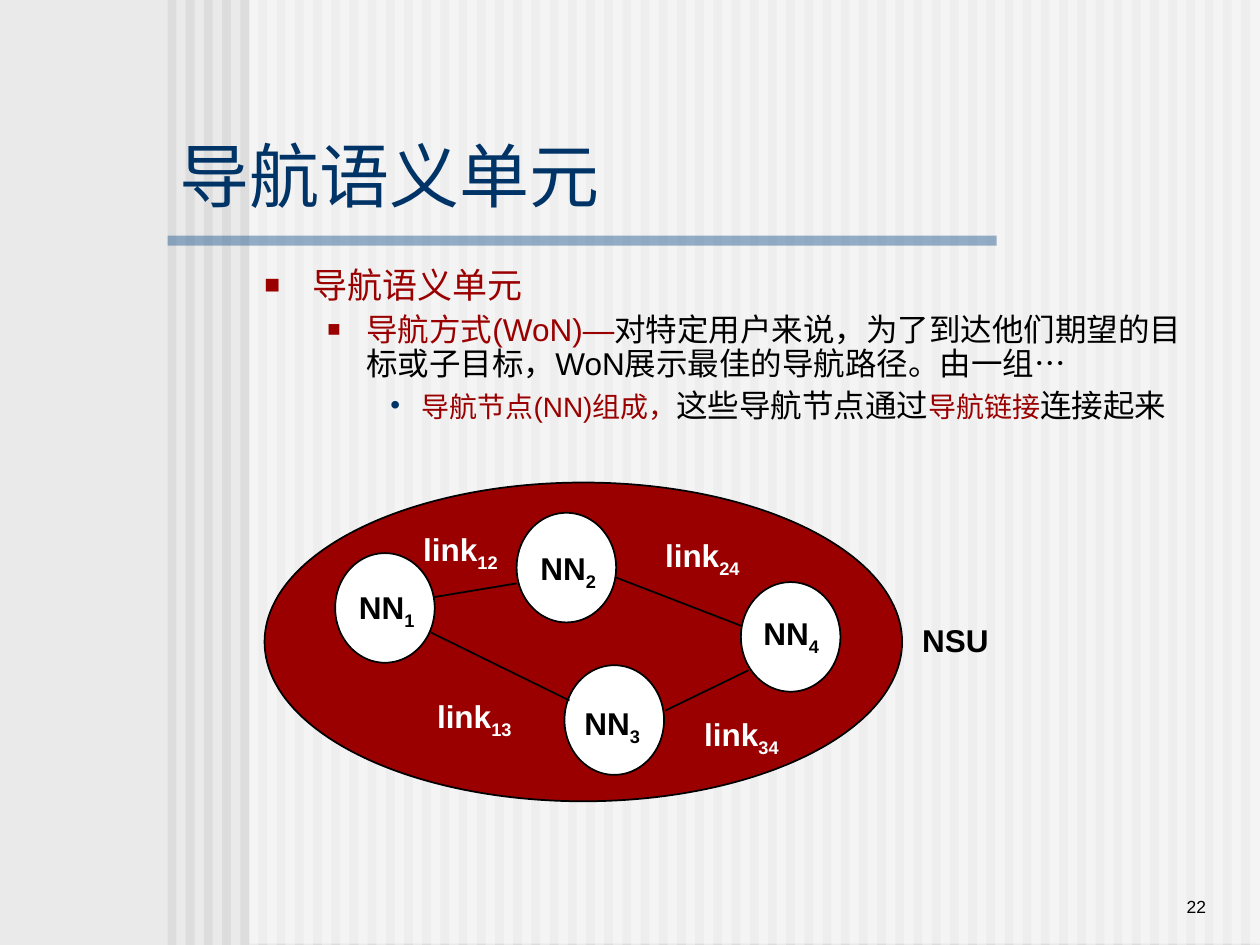
from pptx import Presentation
from pptx.dml.color import RGBColor
from pptx.enum import shapes, text
from pptx.oxml import ns, xmlchemy
from pptx.util import Inches, Pt

BACKDROP = RGBColor(0xEA, 0xEA, 0xEA)
STRIPE = RGBColor(0xDD, 0xDD, 0xDD)
WHITE = RGBColor(0xFF, 0xFF, 0xFF)
BLACK = RGBColor(0, 0, 0)
RULE = RGBColor(0x33, 0x66, 0x99)
NAVY = RGBColor(0, 0x33, 0x66)
RED = RGBColor(0x9A, 0, 0)
FONT = "Arial"

STRIPE_COUNT = 60
NODE_SIZE = (0.79, 0.87)
NODES = [
    ("1", (0.56, 0.56), (0.65, 0.79)),
    ("2", (2.0, 0.24), (2.09, 0.48)),
    ("3", (2.38, 1.45), (2.44, 1.71)),
    ("4", (3.78, 0.79), (3.86, 1.0)),
]
LINKS = [
    ("12", (1.34, 0.91), (2.0, 0.8), (1.16, 0.33)),
    ("13", (1.32, 1.19), (2.42, 1.73), (1.27, 1.66)),
    ("24", (2.78, 0.75), (3.79, 1.14), (3.08, 0.38)),
    ("34", (3.18, 1.81), (3.84, 1.49), (3.39, 1.8)),
]
OUTLINE = [
    (0.38, -0.38, 5, ("■", RED, 75), [("导航语义单元", 20, RED)]),
    (0.81, -0.31, 4.5, ("■", RED, 70), [
        ("导航方式(WoN)—", 18, RED),
        ("对特定用户来说，为了到达他们期望的目标或子目标，WoN展示最佳的导航路径。由一组…", 18, BLACK),
    ]),
    (1.25, -0.25, 4.5, ("•", NAVY, 100), [
        ("导航节点(NN)组成，", 16, RED),
        ("这些导航节点通过", 18, BLACK),
        ("导航链接", 16, RED),
        ("连接起来", 18, BLACK),
    ]),
]


def add_element(parent, tag, **attributes):
    """Append a DrawingML element to parent and return it."""
    element = xmlchemy.OxmlElement(tag)
    for key, value in attributes.items():
        element.set(key, str(value))
    parent.append(element)
    return element


def add_filled(slide, kind, box, color, outlined=False, alpha=None):
    """Draw a flat shape with an optional outline and opacity in percent."""
    shape = slide.shapes.add_shape(kind, *map(Inches, box))
    shape.shadow.inherit = False
    shape.fill.solid()
    shape.fill.fore_color.rgb = color
    if outlined:
        shape.line.color.rgb = BLACK
        shape.line.width = Pt(1)
    else:
        shape.line.fill.background()
    if alpha is not None:
        tint = shape.fill._xPr.find(".//" + ns.qn("a:srgbClr"))
        add_element(tint, "a:alpha", val=alpha * 1000)


def add_run(paragraph, words, size, color, bold=False, baseline=0):
    """Add one formatted run to a paragraph."""
    run = paragraph.add_run()
    run.text = words
    run.font.name = FONT
    run.font.size = Pt(size)
    run.font.bold = bold
    run.font.color.rgb = color
    if baseline:
        run._r.get_or_add_rPr().set("baseline", str(baseline * 1000))


def add_frame(slide, box, anchor=text.MSO_ANCHOR.TOP, wrap=True):
    """Add a text box and return its text frame."""
    frame = slide.shapes.add_textbox(*map(Inches, box)).text_frame
    frame.word_wrap = wrap
    frame.vertical_anchor = anchor
    return frame


def add_label(slide, box, stem, color, index=""):
    """Place a bold diagram label with an optional subscript."""
    frame = add_frame(slide, box, wrap=False)
    frame.auto_size = text.MSO_AUTO_SIZE.SHAPE_TO_FIT_TEXT
    paragraph = frame.paragraphs[0]
    paragraph.line_spacing = 0.9
    add_run(paragraph, stem, 18, color, bold=True)
    if index:
        add_run(paragraph, index, 18, color, bold=True, baseline=-25)


def add_backdrop(slide, left, top, width, height):
    """Paint the striped background, its veil and the title rule."""
    slide.background.fill.solid()
    slide.background.fill.fore_color.rgb = BACKDROP
    rectangle = shapes.MSO_SHAPE.RECTANGLE
    pitch = (width - 0.15) / (STRIPE_COUNT - 1)
    for i in range(STRIPE_COUNT):
        add_filled(slide, rectangle, (left + i * pitch, top, 0.07, height), STRIPE)
    add_filled(slide, rectangle, (left + 0.65, top - 0.01, width - 0.65, height), WHITE, alpha=50)
    add_filled(slide, rectangle, (left, top + 1.87, 6.58, 0.08), RULE, alpha=50)


def add_title(slide, box):
    """Write the slide title."""
    frame = add_frame(slide, box, text.MSO_ANCHOR.BOTTOM)
    add_run(frame.paragraphs[0], "导航语义单元", 40, NAVY)


def add_outline(slide, box):
    """Write the bulleted outline."""
    frame = add_frame(slide, box)
    for level, (margin, indent, before, bullet, runs) in enumerate(OUTLINE):
        paragraph = frame.add_paragraph() if level else frame.paragraphs[0]
        paragraph.level = level
        paragraph.line_spacing = 0.9
        paragraph.space_before = Pt(before)
        mark, mark_color, percent = bullet
        properties = paragraph._p.get_or_add_pPr()
        properties.set("marL", str(Inches(margin)))
        properties.set("indent", str(Inches(indent)))
        add_element(add_element(properties, "a:buClr"), "a:srgbClr", val=mark_color)
        add_element(properties, "a:buSzPct", val=percent * 1000)
        add_element(properties, "a:buFont", typeface=FONT)
        add_element(properties, "a:buChar", char=mark)
        for words, size, color in runs:
            add_run(paragraph, words, size, color)


def add_link(slide, start, end):
    """Draw a straight link between two points."""
    link = slide.shapes.add_connector(
        shapes.MSO_CONNECTOR.STRAIGHT, *map(Inches, (*start, *end)))
    link.line.color.rgb = BLACK
    link.line.width = Pt(1)
    add_element(link._element.spPr, "a:effectLst")


def add_diagram(slide, left, top, width, height):
    """Draw the navigation unit with its nodes, links and labels."""
    def place(point):
        """Shift a point into the diagram box."""
        return left + point[0], top + point[1]

    oval = shapes.MSO_SHAPE.OVAL
    add_filled(slide, oval, (left, top, width, height), RED, outlined=True)
    for _, corner, _ in NODES:
        add_filled(slide, oval, (*place(corner), *NODE_SIZE), WHITE, outlined=True)
    for _, start, end, _ in LINKS:
        add_link(slide, place(start), place(end))
    for index, _, label in NODES:
        add_label(slide, (*place(label), 0.64, 0.41), "NN", BLACK, index)
    for index, _, _, label in LINKS:
        add_label(slide, (*place(label), 0.79, 0.41), "link", WHITE, index)
    add_label(slide, (left + width + 0.06, top + 1.08, 0.73, 0.37), "NSU", BLACK)


def add_page_number(slide, box):
    """Write the page number at the lower right."""
    paragraph = add_frame(slide, box, text.MSO_ANCHOR.BOTTOM).paragraphs[0]
    paragraph.alignment = text.PP_ALIGN.RIGHT
    add_run(paragraph, "22", 10, BLACK)


def main():
    """Build and save the slide."""
    deck = Presentation()
    deck.slide_width, deck.slide_height = Inches(10), Inches(7.5)
    slide = deck.slides.add_slide(deck.slide_layouts[6])
    add_backdrop(slide, 1.33, 0, 8.67, 7.5)
    add_page_number(slide, (8.25, 6.83, 1.42, 0.5))
    add_title(slide, (1.33, 1.08, 7.33, 0.69))
    add_outline(slide, (2, 2.08, 7.58, 2))
    add_diagram(slide, 2.1, 3.83, 5.06, 2.53)
    deck.save("out.pptx")


if __name__ == "__main__":
    main()
